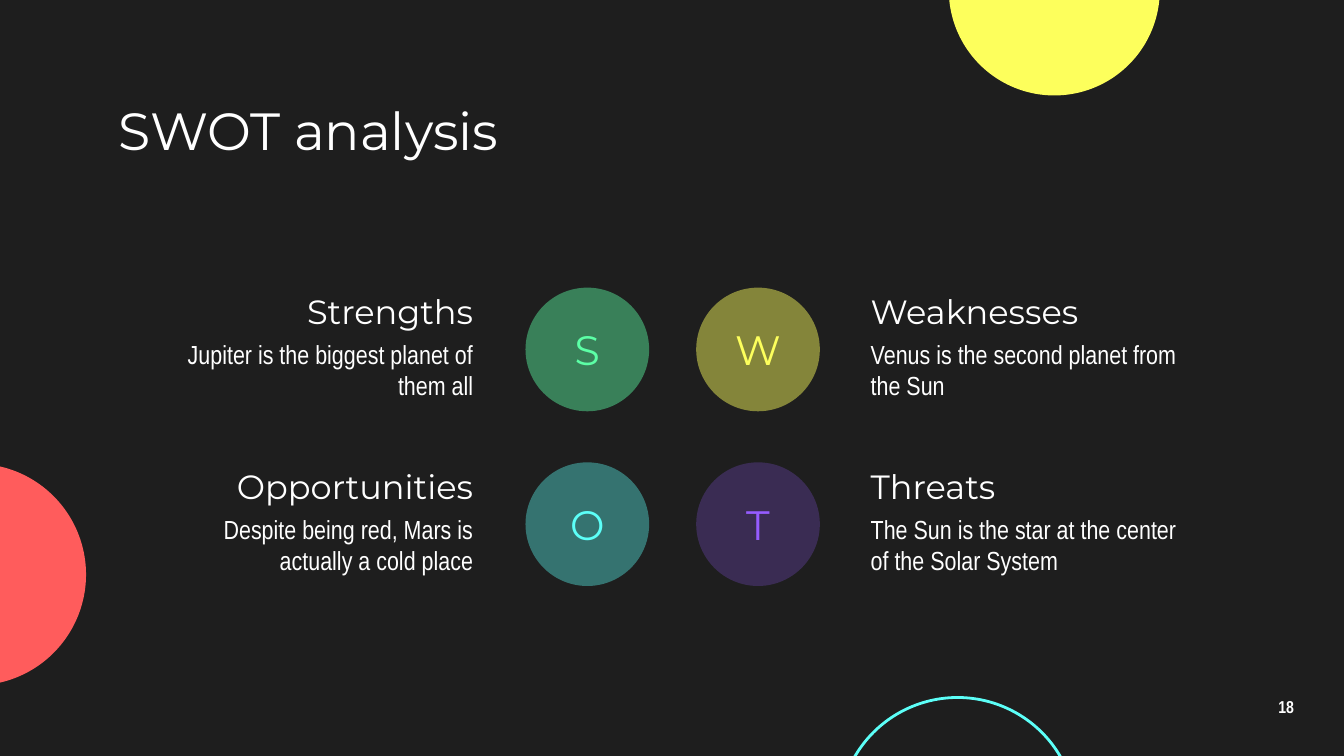
from dataclasses import dataclass

from lxml import etree
from pptx import Presentation
from pptx import util as u
from pptx.dml import color
from pptx.enum import shapes, text
from pptx.oxml import ns

COLORS = {
    "background": "1E1E1E",
    "white": "FFFFFF",
    "yellow": "FDFF5C",
    "red": "FF5C5C",
    "cyan": "5CFFF8",
    "green": "5CFFA6",
    "purple": "955CFF",
}
HEADING_FONT = "Montserrat"
BODY_FONT = "Arial Narrow"
INSET = 0.1
BADGE_SIZE = 0.92
BADGE_LEFTS = (3.91, 5.18)
CAPTION_LEFTS = (1.11, 6.38)
CAPTION_WIDTH = 2.51
FIRST_ROW_TOP = 2.14
ROW_STEP = 1.3
BODY_OFFSET = 0.37


@dataclass(frozen=True)
class Planet:
    left: float
    top: float
    diameter: float
    hue: str
    filled: bool = True


@dataclass(frozen=True)
class Quadrant:
    heading: str
    body: str
    hue: str
    opacity: int
    inset: float = INSET


PLANETS = (
    Planet(7.06, -0.86, 1.57, "yellow"),
    Planet(-1.01, 3.45, 1.65, "red"),
    Planet(6.24, 5.19, 1.77, "cyan", filled=False),
)
QUADRANTS = (
    Quadrant("Strengths", "Jupiter is the biggest planet of them all", "green", 44),
    Quadrant("Weaknesses", "Venus is the second planet from the Sun", "yellow", 46, inset=0),
    Quadrant("Opportunities", "Despite being red, Mars is actually a cold place", "cyan", 38),
    Quadrant("Threats", "The Sun is the star at the center of the Solar System", "purple", 24),
)


def rgb(hue: str) -> color.RGBColor:
    return color.RGBColor.from_string(COLORS[hue])


def write(shape, wording: str, size: float, font: str = HEADING_FONT, hue: str = "white",
          align=text.PP_ALIGN.LEFT, inset: float = INSET, bold: bool = False):
    frame = shape.text_frame
    frame.word_wrap = True
    frame.auto_size = text.MSO_AUTO_SIZE.NONE
    frame.vertical_anchor = text.MSO_ANCHOR.MIDDLE
    frame.margin_left = frame.margin_right = u.Inches(inset)
    frame.margin_top = frame.margin_bottom = u.Inches(inset)
    paragraph = frame.paragraphs[0]
    paragraph.alignment = align
    run = paragraph.add_run()
    run.text = wording
    run.font.name = font
    run.font.size = u.Pt(size)
    run.font.bold = bold
    run.font.color.rgb = rgb(hue)
    return paragraph


def add_label(slide, left: float, top: float, width: float, height: float,
              wording: str, size: float, **style):
    label = slide.shapes.add_textbox(*map(u.Inches, (left, top, width, height)))
    return write(label, wording, size, **style)


def add_circle(slide, left: float, top: float, diameter: float):
    circle = slide.shapes.add_shape(
        shapes.MSO_SHAPE.OVAL, *map(u.Inches, (left, top, diameter, diameter)))
    circle.shadow.inherit = False
    circle.line.fill.background()
    return circle


def fill_circle(circle, hue: str, opacity: int = 100) -> None:
    circle.fill.solid()
    circle.fill.fore_color.rgb = rgb(hue)
    if opacity < 100:
        fill_color = circle.element.spPr.find(ns.qn("a:solidFill"))[0]
        etree.SubElement(fill_color, ns.qn("a:alpha"), val=str(opacity * 1000))


def add_planet(slide, planet: Planet) -> None:
    circle = add_circle(slide, planet.left, planet.top, planet.diameter)
    if planet.filled:
        fill_circle(circle, planet.hue)
    else:
        circle.fill.background()
        circle.line.color.rgb = rgb(planet.hue)
        circle.line.width = u.Pt(1.5)


def add_quadrant(slide, quadrant: Quadrant, row: int, column: int) -> None:
    top = FIRST_ROW_TOP + row * ROW_STEP
    badge = add_circle(slide, BADGE_LEFTS[column], top, BADGE_SIZE)
    fill_circle(badge, quadrant.hue, quadrant.opacity)
    write(badge, quadrant.heading[0], 22, hue=quadrant.hue,
          align=text.PP_ALIGN.CENTER, inset=quadrant.inset)
    left = CAPTION_LEFTS[column]
    align = (text.PP_ALIGN.RIGHT, text.PP_ALIGN.LEFT)[column]
    add_label(slide, left, top, CAPTION_WIDTH, 0.35, quadrant.heading, 18, align=align)
    add_label(slide, left, top + BODY_OFFSET, CAPTION_WIDTH, 0.48, quadrant.body, 14,
              font=BODY_FONT, align=align)


def main() -> None:
    deck = Presentation()
    deck.slide_width = u.Inches(10)
    deck.slide_height = u.Inches(10 * 9 / 16)
    slide = deck.slides.add_slide(deck.slide_layouts[5])
    slide.background.fill.solid()
    slide.background.fill.fore_color.rgb = rgb("background")

    for planet in PLANETS:
        add_planet(slide, planet)

    title = slide.shapes.title
    title.left, title.top = u.Inches(0.78), u.Inches(0.71)
    title.width, title.height = u.Inches(8.44), u.Inches(0.51)
    write(title, "SWOT analysis", 28)

    page_number = add_label(slide, 9.27, 5.1, 0.6, 0.34, "18", 9.2, font=BODY_FONT,
                            align=text.PP_ALIGN.CENTER, bold=True)
    page_number.line_spacing = 0.9

    for index, quadrant in enumerate(QUADRANTS):
        add_quadrant(slide, quadrant, *divmod(index, 2))

    deck.save("out.pptx")


if __name__ == "__main__":
    main()
